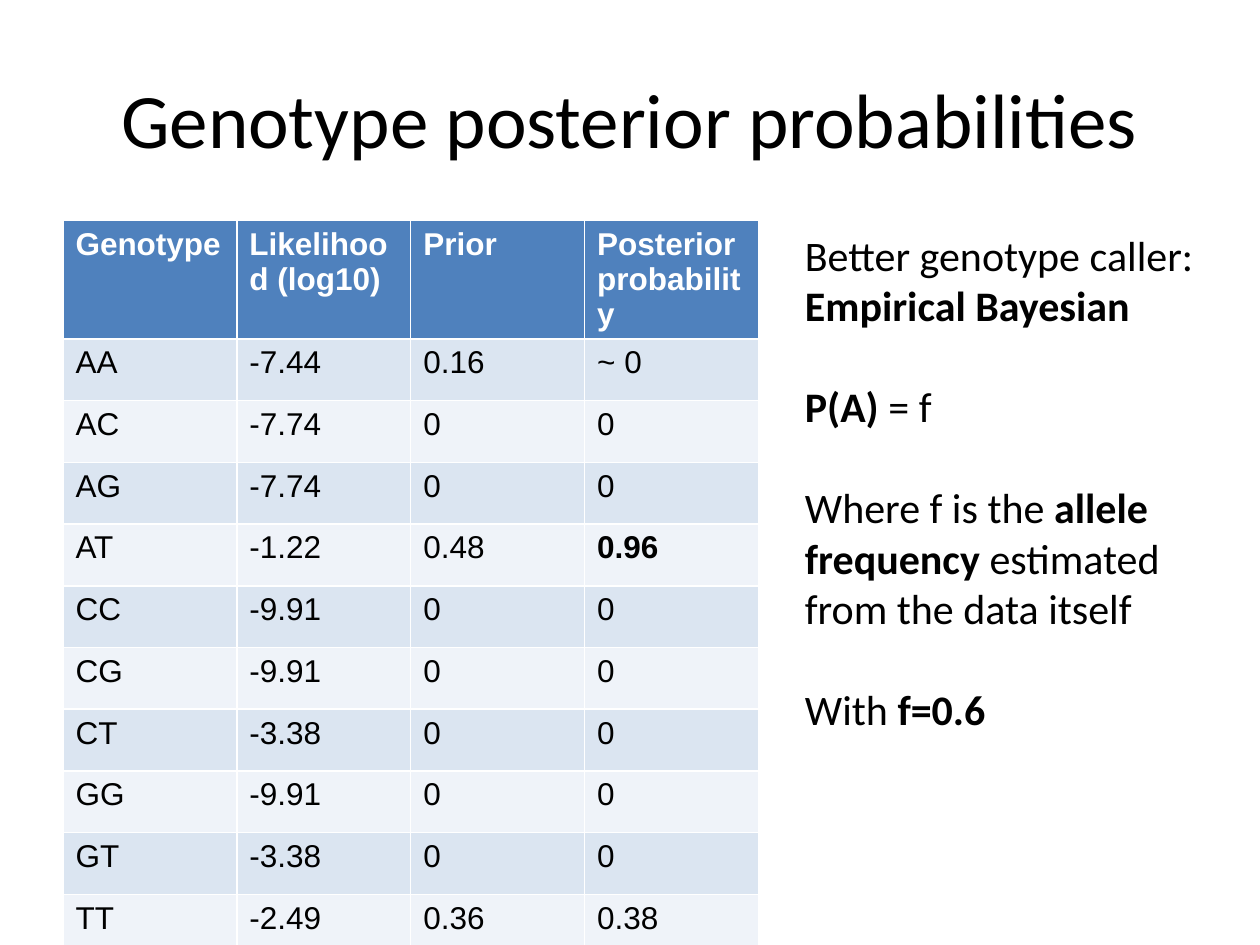
"""Build a slide on genotype posterior probabilities."""
import pptx
import pptx.dml.color
import pptx.enum.text
import pptx.util

SLIDE_WIDTH, SLIDE_HEIGHT = pptx.util.Inches(10), pptx.util.Inches(7.5)
COLORS = {
    "text": "000000",
    "header_text": "FFFFFF",
    "header": "4F81BD",
    "odd_row": "DBE5F1",
    "even_row": "EFF3F9",
}
HEADINGS = ("Genotype", "Likelihood (log10)", "Prior", "Posterior probability")
GENOTYPES = (
    ("AA", "-7.44", "0.16", "~ 0"),
    ("AC", "-7.74", "0", "0"),
    ("AG", "-7.74", "0", "0"),
    ("AT", "-1.22", "0.48", "0.96"),
    ("CC", "-9.91", "0", "0"),
    ("CG", "-9.91", "0", "0"),
    ("CT", "-3.38", "0", "0"),
    ("GG", "-9.91", "0", "0"),
    ("GT", "-3.38", "0", "0"),
    ("TT", "-2.49", "0.36", "0.38"),
)
BEST_POSTERIOR = "0.96"
COLUMN_WIDTH, ROW_HEIGHT = pptx.util.Inches(1.38), pptx.util.Inches(0.49)
EXPLANATION = (
    (0, (("Better genotype caller:", False),)),
    (0, (("Empirical Bayesian", True),)),
    (29, (("P(A)", True), (" = f", False))),
    (29, (("Where f is the ", False), ("allele frequency ", True),
          ("estimated from the data itself", False))),
    (29, (("With ", False), ("f=0.6", True))),
)


def rgb(name):
    """Return the named colour."""
    return pptx.dml.color.RGBColor.from_string(COLORS[name])


def set_font(font, family, size, color, bold=None):
    """Apply family, size, colour and weight to a font."""
    font.name, font.size, font.bold = family, pptx.util.Pt(size), bold
    font.color.rgb = rgb(color)


def place(shape, left, top, width, height):
    """Position a shape by shares of the slide's size."""
    shape.left, shape.width = int(left * SLIDE_WIDTH), int(width * SLIDE_WIDTH)
    shape.top, shape.height = int(top * SLIDE_HEIGHT), int(height * SLIDE_HEIGHT)


def add_title(slide, wording):
    """Fill and format the title placeholder."""
    title = slide.shapes.title
    place(title, 0.05, 0.04, 0.9, 0.17)
    title.text_frame.vertical_anchor = pptx.enum.text.MSO_ANCHOR.MIDDLE
    heading = title.text_frame.paragraphs[0]
    heading.text = wording
    heading.alignment = pptx.enum.text.PP_ALIGN.CENTER
    set_font(heading.font, "Calibri", 44, "text")


def fill_cell(cell, wording, fill, color, bold):
    """Write one table cell on its band colour."""
    cell.fill.solid()
    cell.fill.fore_color.rgb = rgb(fill)
    entry = cell.text_frame.paragraphs[0]
    entry.text = wording
    set_font(entry.font, "Arial", 18, color, bold)


def add_genotype_table(slide):
    """Add the table of likelihoods, priors and posteriors."""
    rows = (HEADINGS,) + GENOTYPES
    table = slide.shapes.add_table(
        len(rows), len(HEADINGS), pptx.util.Inches(0.5), pptx.util.Inches(1.75),
        COLUMN_WIDTH * len(HEADINGS), ROW_HEIGHT * len(rows)).table
    for row_index, values in enumerate(rows):
        is_header = row_index == 0
        band = "header" if is_header else "odd_row" if row_index % 2 else "even_row"
        color = "header_text" if is_header else "text"
        for column, value in enumerate(values):
            fill_cell(table.cell(row_index, column), value, band, color,
                      is_header or value == BEST_POSTERIOR)


def add_explanation(slide):
    """Add the note on the empirical Bayesian caller."""
    note = slide.shapes.add_textbox(0, 0, 0, 0)
    place(note, 0.629, 0.236, 0.347, 0.605)
    frame = note.text_frame
    frame.word_wrap = True
    for index, (gap, phrases) in enumerate(EXPLANATION):
        statement = frame.add_paragraph() if index else frame.paragraphs[0]
        if gap:
            statement.space_before = pptx.util.Pt(gap)
        set_font(statement.font, "Calibri", 24, "text")
        for wording, bold in phrases:
            phrase = statement.add_run()
            phrase.text = wording
            set_font(phrase.font, "Calibri", 24, "text", bold)


def main():
    """Build and save the slide."""
    deck = pptx.Presentation()
    deck.slide_width, deck.slide_height = SLIDE_WIDTH, SLIDE_HEIGHT
    slide = deck.slides.add_slide(deck.slide_layouts.get_by_name("Title Only"))
    add_title(slide, "Genotype posterior probabilities")
    add_genotype_table(slide)
    add_explanation(slide)
    deck.save("out.pptx")


if __name__ == "__main__":
    main()
